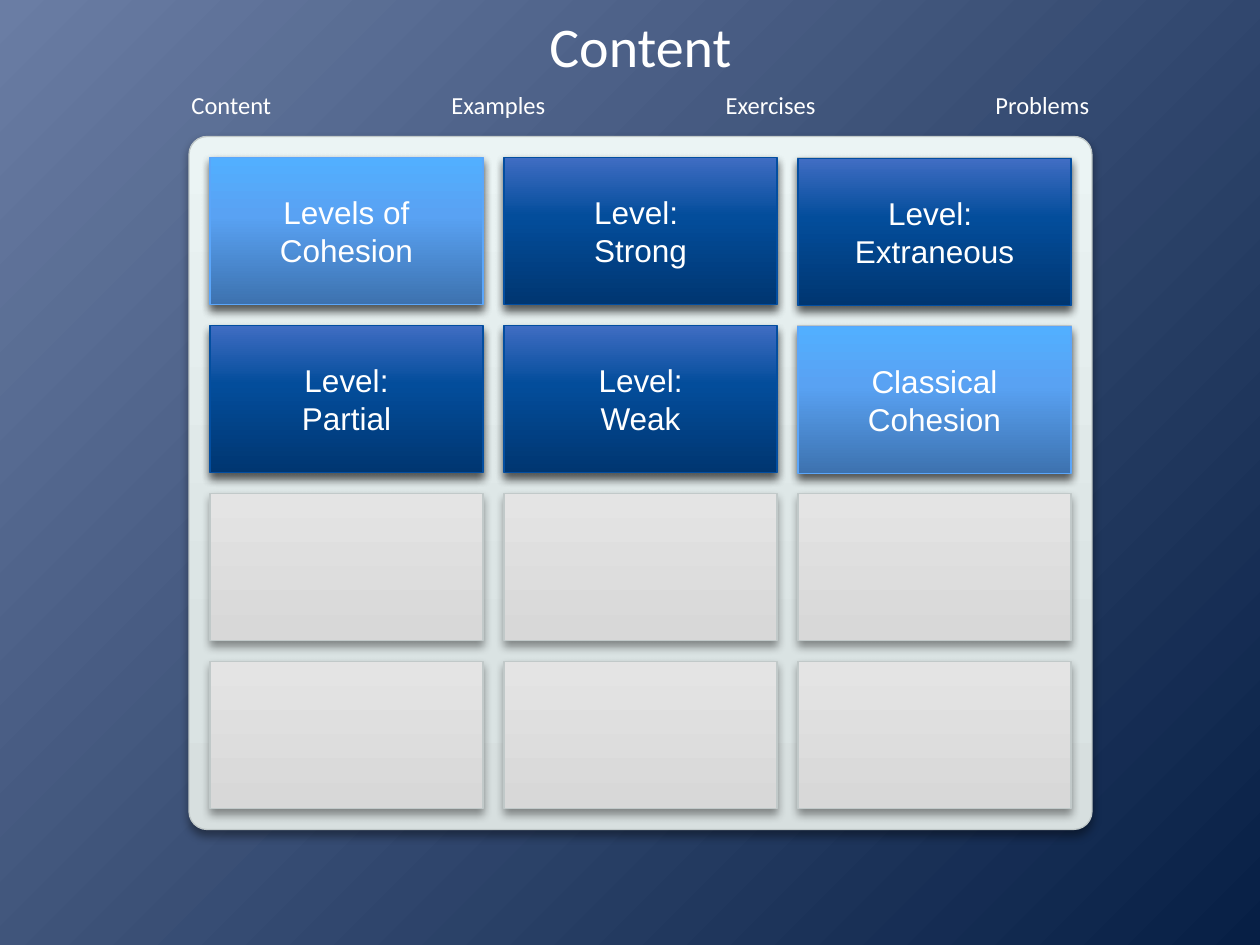
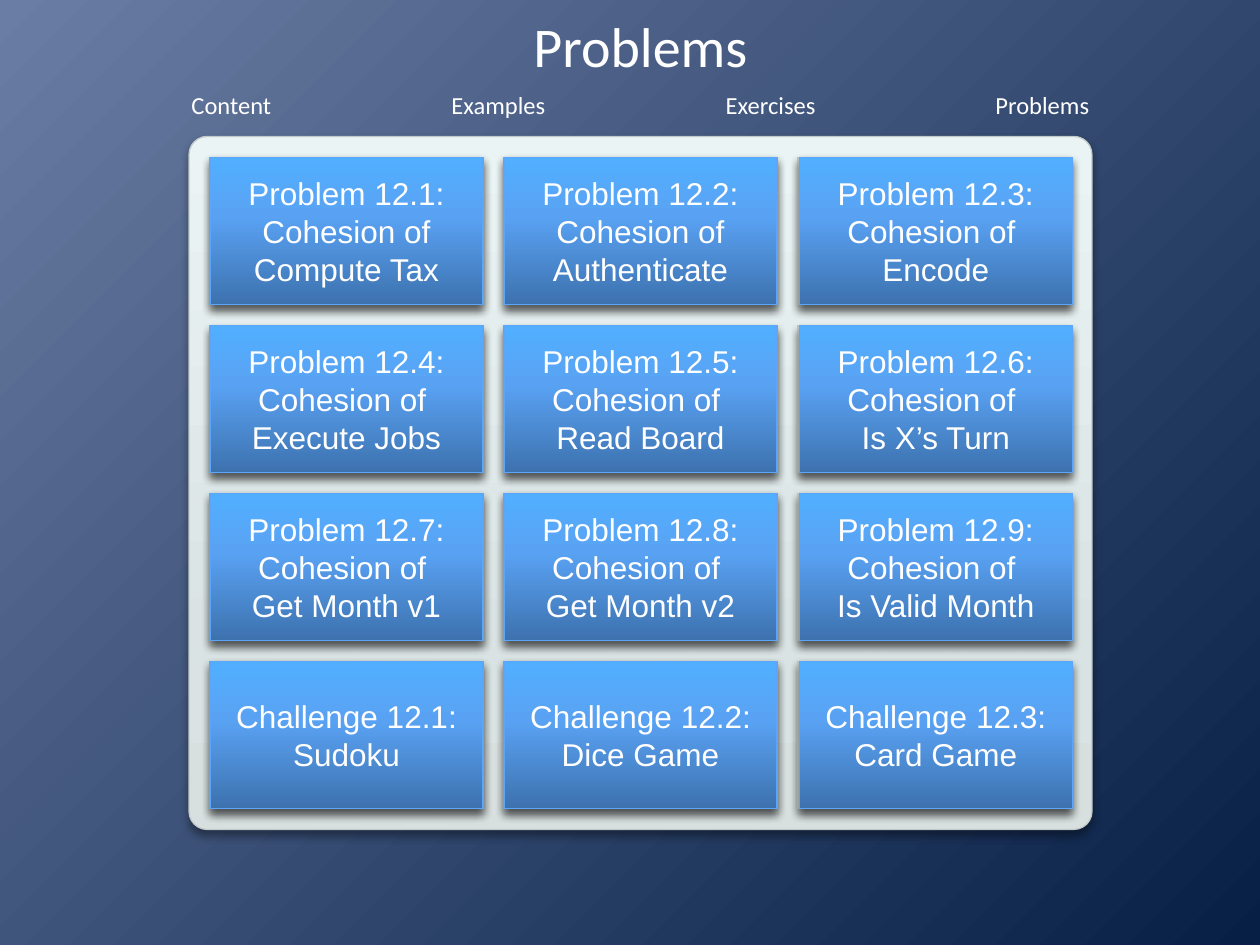
from itertools import product

from lxml import etree
from pptx import Presentation
from pptx.dml.color import RGBColor
from pptx.enum import shapes, text
from pptx.oxml import ns
from pptx.util import Pt

COLORS = {"white": "FFFFFF", "shadow": "000000", "pale_edge": "C1C9C9",
          "light_edge": "5BA6FA", "dark_edge": "034EA0"}
GRADIENTS = {
    "backdrop": [(0, "6A7DA4"), (100, "071F45")],
    "panel": [(0, "D7DFDF"), (25, "DAE3E3"), (100, "EBF4F4")],
    "empty": [(0, "D8D8D8"), (1, "D8D8D8"), (100, "E4E4E4")],
    "light": [(0, "3D72AF"), (60, "59A2F3"), (100, "52AFFF")],
    "dark": [(0, "003671"), (60, "034D9B"), (100, "406DC3")],
}
UPWARD = '<a:lin ang="16200000" scaled="0"/>'
FROM_TOP_LEFT = '<a:path path="circle"><a:fillToRect r="100000" b="100000"/></a:path>'
SHADOW = (f'<a:effectLst {ns.nsdecls("a")}><a:outerShdw blurRad="{int(Pt(5.2))}" '
          f'dist="{int(Pt(3))}" dir="5400000" algn="t" rotWithShape="0">'
          f'<a:srgbClr val="{COLORS["shadow"]}"><a:alpha val="40000"/></a:srgbClr>'
          '</a:outerShdw></a:effectLst>')

TITLE = {"size": Pt(32), "name": "Calibri"}
NAV = {"size": Pt(14), "name": "Calibri"}
TILE = {"size": Pt(18), "name": "Arial"}

NAV_ITEMS = [("Content", 60.5), ("Examples", 69), ("Exercises", 66.5), ("Problems", 68.5)]
NAV_LEFT, NAV_GAP = 102, 87.8
PANEL = (108, 78, 516, 396)
MARGIN, TILE_W, TILE_H = 12, 156, 84
ROWS, COLUMNS = 4, 3

# Each page: title, shift of the last column, tiles in reading order (\v breaks a line)
PAGES = [
    ("Content", (0, 0.72), [
        ("light", "Levels of Cohesion"), ("dark", "Level: \vStrong"),
        ("dark", "Level: \vExtraneous"), ("dark", "Level:\vPartial"),
        ("dark", "Level:\vWeak"), ("light", "Classical Cohesion")]),
    ("Problems", (0.72, 0), [("light", label) for label in (
        "Problem 12.1:\vCohesion of Compute Tax",
        "Problem 12.2:\vCohesion of Authenticate",
        "Problem 12.3:\vCohesion of \nEncode",
        "Problem 12.4:\vCohesion of \vExecute Jobs",
        "Problem 12.5:\vCohesion of \vRead Board",
        "Problem 12.6:\vCohesion of \vIs X’s Turn",
        "Problem 12.7:\vCohesion of \vGet Month v1",
        "Problem 12.8:\vCohesion of \vGet Month v2",
        "Problem 12.9:\vCohesion of \vIs Valid Month",
        "Challenge 12.1:\vSudoku",
        "Challenge 12.2:\vDice Game",
        "Challenge 12.3:\vCard Game")]),
]


def paint(fill, parent, gradient, direction=UPWARD):
    """Give a fill, whose XML sits in parent, one of the GRADIENTS."""
    fill.solid()
    stops = "".join(f'<a:gs pos="{pos * 1000}"><a:srgbClr val="{color}"/></a:gs>'
                    for pos, color in GRADIENTS[gradient])
    solid = parent.find(ns.qn("a:solidFill"))
    parent.replace(solid, etree.fromstring(
        f'<a:gradFill {ns.nsdecls("a")} rotWithShape="1">'
        f'<a:gsLst>{stops}</a:gsLst>{direction}</a:gradFill>'))


def write(shape, words, font_format, **frame_format):
    """Put centred white text in a shape."""
    frame = shape.text_frame
    frame.text = words
    for name, value in frame_format.items():
        setattr(frame, name, value)
    for paragraph in frame.paragraphs:
        paragraph.alignment = text.PP_ALIGN.CENTER
        for run in paragraph.runs:
            for name, value in font_format.items():
                setattr(run.font, name, value)
            run.font.color.rgb = RGBColor.from_string(COLORS["white"])


prs = Presentation()
prs.slide_width, prs.slide_height = Pt(720), Pt(540)
master = prs.slide_master
backdrop = master.background.fill
backdrop.solid()
paint(backdrop, master.element.find(".//" + ns.qn("p:bgPr")), "backdrop", FROM_TOP_LEFT)

cells = [(PANEL[0] + MARGIN + column * (TILE_W + MARGIN),
          PANEL[1] + MARGIN + row * (TILE_H + MARGIN))
         for row, column in product(range(ROWS), range(COLUMNS))]

for page_title, (shift_x, shift_y), tiles in PAGES:
    slide = prs.slides.add_slide(prs.slide_layouts[6])

    boxes = [("panel", "pale_edge", PANEL, "")]
    boxes += [("empty", "pale_edge", (x, y, TILE_W, TILE_H), "") for x, y in cells]
    for index, ((x, y), (shade, label)) in enumerate(zip(cells, tiles)):
        if index % COLUMNS == COLUMNS - 1:
            x, y = x + shift_x, y + shift_y
        boxes.append((shade, shade + "_edge", (x, y, TILE_W, TILE_H), label))

    for shade, edge, place, label in boxes:
        outline = "ROUNDED_RECTANGLE" if shade == "panel" else "RECTANGLE"
        box = slide.shapes.add_shape(shapes.MSO_SHAPE[outline], *map(Pt, place))
        if shade == "panel":
            box.adjustments[0] = 0.026
        properties = box.element.spPr
        paint(box.fill, properties, shade)
        box.line.color.rgb = RGBColor.from_string(COLORS[edge])
        box.line.width = Pt(0.75)
        properties.append(etree.fromstring(SHADOW))
        if label:
            write(box, label, TILE, word_wrap=True,
                  vertical_anchor=text.MSO_ANCHOR.MIDDLE)

    nav_x = NAV_LEFT
    for item, width in NAV_ITEMS:
        nav = slide.shapes.add_textbox(Pt(nav_x), Pt(48), Pt(width), Pt(24.5))
        write(nav, item, NAV, word_wrap=False,
              auto_size=text.MSO_AUTO_SIZE.SHAPE_TO_FIT_TEXT)
        nav_x += width + NAV_GAP

    heading = slide.shapes.add_textbox(Pt(PANEL[0]), Pt(8), Pt(PANEL[2]), Pt(36))
    write(heading, page_title, TITLE, word_wrap=True,
          vertical_anchor=text.MSO_ANCHOR.MIDDLE,
          margin_left=0, margin_top=0, margin_right=0, margin_bottom=0)

prs.save("out.pptx")
